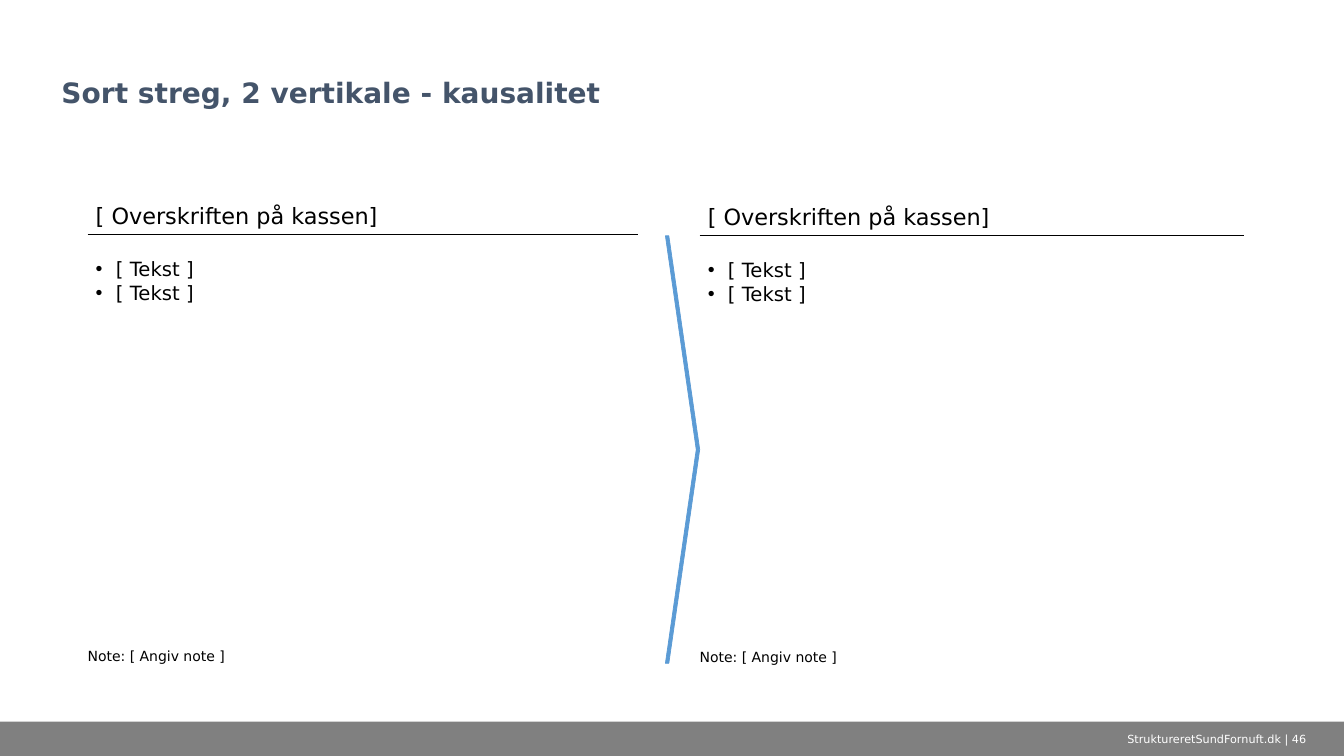
from lxml import etree
from pptx import Presentation
from pptx import util as u
from pptx.dml.color import RGBColor
from pptx.enum import shapes, text
from pptx.oxml import ns

PX = 9144  # EMU per px, 100 px to the inch
WIDTH, HEIGHT = 1333, 750
FONT = "DejaVu Sans"
COLOURS = {
    "title": "44546A",
    "text": "000000",
    "rule": "000000",
    "bar": "808080",
    "bar_text": "FFFFFF",
    "chevron": "5B9BD5",
}
PADDING = (8, 6, 8, 6)
BULLET_INDENT = 20


def px(*lengths):
    return [u.Emu(length * PX) for length in lengths]


def colour(name):
    return RGBColor.from_string(COLOURS[name])


def set_text(shape, lines, size, ink="text", bold=False, frame=None, paragraph_format=None,
             padding=None, bullet=False):
    """Fill a shape with one paragraph per line and apply the given formats."""
    text_frame = shape.text_frame
    frame_values = {"word_wrap": True, "auto_size": text.MSO_AUTO_SIZE.NONE, **(frame or {})}
    if padding:
        sides = ("margin_left", "margin_top", "margin_right", "margin_bottom")
        frame_values.update(zip(sides, px(*padding)))
    for name, value in frame_values.items():
        setattr(text_frame, name, value)
    text_frame.text = "\n".join(lines)
    for paragraph in text_frame.paragraphs:
        if bullet:
            add_bullet(paragraph)
        for name, value in (paragraph_format or {}).items():
            setattr(paragraph, name, value)
        for run in paragraph.runs:
            for name, value in {"name": FONT, "size": u.Pt(size), "bold": bold}.items():
                setattr(run.font, name, value)
            run.font.color.rgb = colour(ink)


def add_bullet(paragraph):
    properties = paragraph._p.get_or_add_pPr()
    indent = BULLET_INDENT * PX
    properties.set("marL", str(indent))
    properties.set("indent", str(-indent))
    font = etree.SubElement(properties, ns.qn("a:buFont"))
    font.set("typeface", "Arial")
    etree.SubElement(properties, ns.qn("a:buChar")).set("char", "•")


def add_text(slide, box, lines, size, **formats):
    set_text(slide.shapes.add_textbox(*px(*box)), lines, size, **formats)


def add_preset(slide, preset, box, fill):
    shape = slide.shapes.add_shape(preset, *px(*box))
    shape.shadow.inherit = False
    shape.fill.solid()
    shape.fill.fore_color.rgb = colour(fill)
    shape.line.fill.background()
    return shape


def add_rule(slide, left, top, width):
    rule = slide.shapes.add_connector(
        shapes.MSO_CONNECTOR.STRAIGHT, *px(left, top, left + width, top))
    rule.line.color.rgb = colour("rule")
    rule.line.width = u.Pt(0.5)
    etree.SubElement(rule._element.spPr, ns.qn("a:effectLst"))


def place_title(slide, box, title):
    shape = slide.shapes.title
    for name, value in zip(("left", "top", "width", "height"), px(*box)):
        setattr(shape, name, value)
    set_text(shape, [title], 20, ink="title", bold=True, padding=(10, 5, 10, 5),
             frame={"vertical_anchor": text.MSO_ANCHOR.BOTTOM},
             paragraph_format={"alignment": text.PP_ALIGN.LEFT, "line_spacing": 0.9})


def add_footer(slide, box, label):
    left, top, width, height = box
    add_preset(slide, shapes.MSO_SHAPE.RECTANGLE, box, "bar")
    label_width = 252
    add_text(slide, (left + width - label_width, top, label_width, height), [label], 8,
             ink="bar_text", frame={"vertical_anchor": text.MSO_ANCHOR.MIDDLE},
             paragraph_format={"alignment": text.PP_ALIGN.CENTER})


def add_column(slide, box, heading, bullets, note):
    """Underlined heading, bulleted body and a note at the foot of the box."""
    left, top, width, height = box
    heading_height, gap, note_height = 63, 16, 17
    body_top = top + heading_height + gap
    note_top = top + height - note_height
    add_rule(slide, left, top + heading_height, width)
    add_text(slide, (left, top, width, heading_height), [heading], 16, padding=PADDING,
             frame={"vertical_anchor": text.MSO_ANCHOR.BOTTOM})
    add_text(slide, (left, body_top, width, note_top - body_top), bullets, 14,
             padding=PADDING, bullet=True)
    add_text(slide, (left, note_top, width, note_height), [note], 10, padding=(0, 0, 0, 0),
             frame={"auto_size": text.MSO_AUTO_SIZE.SHAPE_TO_FIT_TEXT})


def add_causality_chevron(slide, box):
    chevron = add_preset(slide, shapes.MSO_SHAPE.CHEVRON, box, "chevron")
    chevron.adjustments[0] = 0.9
    chevron.line.color.rgb = colour("chevron")
    chevron.line.width = u.Pt(0.5)


def main():
    presentation = Presentation()
    presentation.slide_width, presentation.slide_height = px(WIDTH, HEIGHT)
    slide = presentation.slides.add_slide(presentation.slide_layouts[5])
    add_footer(slide, (0, 716, WIDTH, 34), "StruktureretSundFornuft.dk | 46")
    place_title(slide, (51, 17, 1231, 97), "Sort streg, 2 vertikale - kausalitet")
    for box in ((87, 170, 546, 489), (694, 171, 540, 489)):
        add_column(slide, box, "[ Overskriften på kassen]", ["[ Tekst ]"] * 2,
                   "Note: [ Angiv note ]")
    add_causality_chevron(slide, (660, 234, 34, 424))
    presentation.save("out.pptx")


if __name__ == "__main__":
    main()
